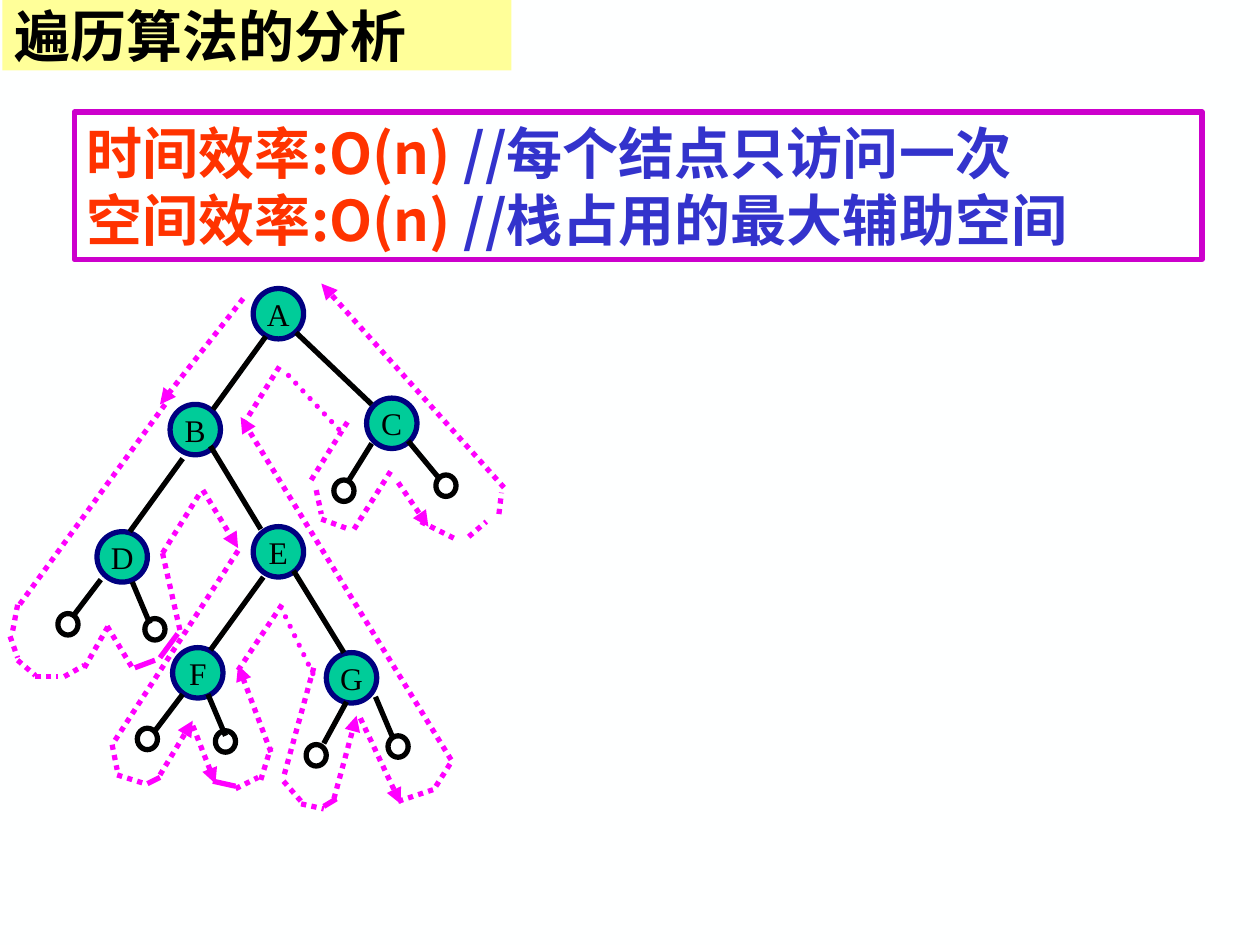
from lxml import etree
from pptx import Presentation
from pptx.dml.color import RGBColor
from pptx.enum.dml import MSO_LINE
from pptx.enum.shapes import MSO_CONNECTOR, MSO_SHAPE
from pptx.enum.text import MSO_ANCHOR, PP_ALIGN
from pptx.oxml.ns import qn
from pptx.util import Inches, Pt

COLORS = {
    "page": "FEFFFF", "black": "000000", "node": "00CC99", "node_line": "000080",
    "trail": "FF00FF", "box": "CC00CC", "title": "FFFF99",
    "cost": "FF3300", "remark": "3333CC",
}
CJK, LATIN = "Noto Sans CJK SC", "Times New Roman"

TITLE = "遍历算法的分析"
EFFICIENCY = [
    [("时间效率:O(n) ", "cost"), ("//每个结点只访问一次", "remark")],
    [("空间效率:O(n) ", "cost"), ("//栈占用的最大辅助空间", "remark")],
]

# Tree: top left corners of the nodes and of the empty leaves
NODES = {
    "A": (2.01, 2.29), "F": (1.37, 5.14), "E": (2.01, 4.18), "D": (0.77, 4.22),
    "C": (2.91, 3.16), "B": (1.35, 3.21), "G": (2.59, 5.18),
}
LEAVES = [
    (0.46, 4.87), (1.15, 4.91), (1.09, 5.78), (1.71, 5.8),
    (2.43, 5.91), (3.08, 5.84), (3.46, 3.77), (2.65, 3.81),
]
EDGES = [
    (2.11, 2.67, 1.69, 3.25), (2.35, 2.64, 2.95, 3.21),  # from A
    (1.45, 3.64, 1.03, 4.22), (1.67, 3.54, 2.07, 4.2),   # from B
    (2.95, 3.52, 2.77, 3.81), (3.24, 3.5, 3.48, 3.79),   # from C
    (0.8, 4.6, 0.58, 4.89), (1.05, 4.62, 1.19, 4.95),    # from D
    (2.09, 4.58, 1.67, 5.16), (2.33, 4.53, 2.73, 5.18),  # from E
    (1.45, 5.51, 1.23, 5.8), (1.65, 5.51, 1.79, 5.84),   # from F
    (2.75, 5.57, 2.57, 5.9), (2.98, 5.53, 3.12, 5.86),   # from G
]

# Traversal trail, by kind of stroke
ARROWS = [
    (1.93, 2.37, 1.27, 3.21), (1.61, 3.89, 1.89, 4.35), (1.27, 6.15, 1.53, 5.72),
    (1.53, 5.76, 1.71, 6.22), (2.15, 5.97, 1.89, 5.28), (2.65, 6.34, 2.83, 5.68),
    (2.86, 5.7, 3.18, 6.38), (3.58, 6.03, 1.91, 3.31), (3.16, 3.83, 3.4, 4.18),
    (4, 3.87, 2.55, 2.25),
]
DOTTED = [
    # around D
    (1.31, 3.21, 0.14, 4.82), (0.14, 4.8, 0.1, 5.01), (0.08, 5.05, 0.14, 5.22),
    (0.14, 5.24, 0.28, 5.36), (0.28, 5.37, 0.46, 5.37), (0.51, 5.37, 0.67, 5.28),
    (0.67, 5.3, 0.87, 4.95), (0.85, 4.97, 1.05, 5.3), (1.29, 4.39, 1.43, 5.01),
    (1.29, 4.39, 1.59, 3.91),
    # around F
    (1.89, 4.37, 0.91, 5.88), (0.89, 5.91, 0.93, 6.11), (0.93, 6.15, 1.15, 6.22),
    (1.87, 6.26, 2.05, 6.17), (2.07, 6.19, 2.15, 5.93), (1.89, 5.32, 2.25, 4.78),
    # around G
    (2.49, 5.3, 2.25, 6.17), (2.25, 6.2, 2.39, 6.36), (2.39, 6.38, 2.57, 6.42),
    (3.16, 6.36, 3.46, 6.26), (3.46, 6.24, 3.58, 6.05),
    # around C
    (1.93, 3.37, 2.23, 2.89), (2.47, 3.81, 2.77, 3.33), (2.51, 3.89, 2.55, 4.08),
    (2.55, 4.12, 2.77, 4.2), (2.81, 4.2, 3.12, 3.71), (3.34, 4.14, 3.62, 4.28),
    (3.72, 4.26, 3.86, 4.14), (3.96, 4.08, 3.98, 3.91),
]
ROUND_DOTTED = [(2.23, 4.82, 2.49, 5.36), (2.29, 2.98, 2.71, 3.43)]
SOLID = [
    (1.17, 6.22, 1.27, 6.17), (1.69, 6.2, 1.87, 6.24), (2.57, 6.4, 2.67, 6.34),
    (1.07, 5.3, 1.23, 5.24), (1.27, 5.22, 1.41, 5.03),
]


def rgb(name):
    return RGBColor.from_string(COLORS[name])


def add_shape(kind, left, top, width, height, fill=None, line=None):
    s = slide.shapes.add_shape(kind, *map(Inches, (left, top, width, height)))
    s.shadow.inherit = False
    if fill:
        s.fill.solid()
        s.fill.fore_color.rgb = rgb(fill)
    else:
        s.fill.background()
    if line:
        s.line.color.rgb = rgb(line)
        s.line.width = Pt(3)
    else:
        s.line.fill.background()
    return s


def add_line(ends, color, dotted=False, arrow=False, round_cap=False):
    c = slide.shapes.add_connector(MSO_CONNECTOR.STRAIGHT, *map(Inches, ends))
    c.line.color.rgb = rgb(color)
    c.line.width = Pt(3)
    if dotted:
        c.line.dash_style = MSO_LINE.ROUND_DOT
    ln = c.line._get_or_add_ln()
    if round_cap:
        ln.set("cap", "rnd")
    if arrow:
        etree.SubElement(ln, qn("a:tailEnd"), type="triangle")
    etree.SubElement(c._element.spPr, qn("a:effectLst"))


def add_run(p, text, font, size, color, bold=False):
    r = p.add_run()
    r.text = text
    r.font.name, r.font.size, r.font.bold = font, Pt(size), bold
    r.font.color.rgb = rgb(color)
    if font == CJK:
        etree.SubElement(r._r.get_or_add_rPr(), qn("a:ea"), typeface=font)


prs = Presentation()
prs.slide_width, prs.slide_height = Inches(10), Inches(7.5)
slide = prs.slides.add_slide(prs.slide_layouts[6])
slide.background.fill.solid()
slide.background.fill.fore_color.rgb = rgb("page")

# Tree nodes
for name, (x, y) in NODES.items():
    s = add_shape(MSO_SHAPE.OVAL, x, y, 0.4, 0.4, "node", "node_line")
    tf = s.text_frame
    tf.word_wrap = False
    tf.vertical_anchor = MSO_ANCHOR.MIDDLE
    tf.paragraphs[0].alignment = PP_ALIGN.CENTER
    add_run(tf.paragraphs[0], name, LATIN, 18, "black")

# Edges and empty leaves
for ends in EDGES:
    add_line(ends, "black")
for x, y in LEAVES:
    add_shape(MSO_SHAPE.OVAL, x, y, 0.16, 0.17, line="black")

# Traversal trail
for ends in SOLID:
    add_line(ends, "trail")
for ends in DOTTED:
    add_line(ends, "trail", dotted=True)
for ends in ROUND_DOTTED:
    add_line(ends, "trail", dotted=True, round_cap=True)
for ends in ARROWS:
    add_line(ends, "trail", dotted=True, arrow=True)

# Efficiency box and title
box = add_shape(MSO_SHAPE.RECTANGLE, 0.59, 0.89, 8.95, 1.17, line="box")
title = add_shape(MSO_SHAPE.RECTANGLE, 0.02, 0, 4.04, 0.56, fill="title")
for s, lines, anchor in (
    (box, EFFICIENCY, MSO_ANCHOR.TOP),
    (title, [[(TITLE, "black")]], MSO_ANCHOR.MIDDLE),
):
    tf = s.text_frame
    tf.word_wrap = True
    tf.vertical_anchor = anchor
    for i, runs in enumerate(lines):
        p = tf.add_paragraph() if i else tf.paragraphs[0]
        p.alignment = PP_ALIGN.LEFT
        p.line_spacing = Pt(38.5)
        for text, color in runs:
            add_run(p, text, CJK, 32, color, bold=True)

prs.save("out.pptx")
